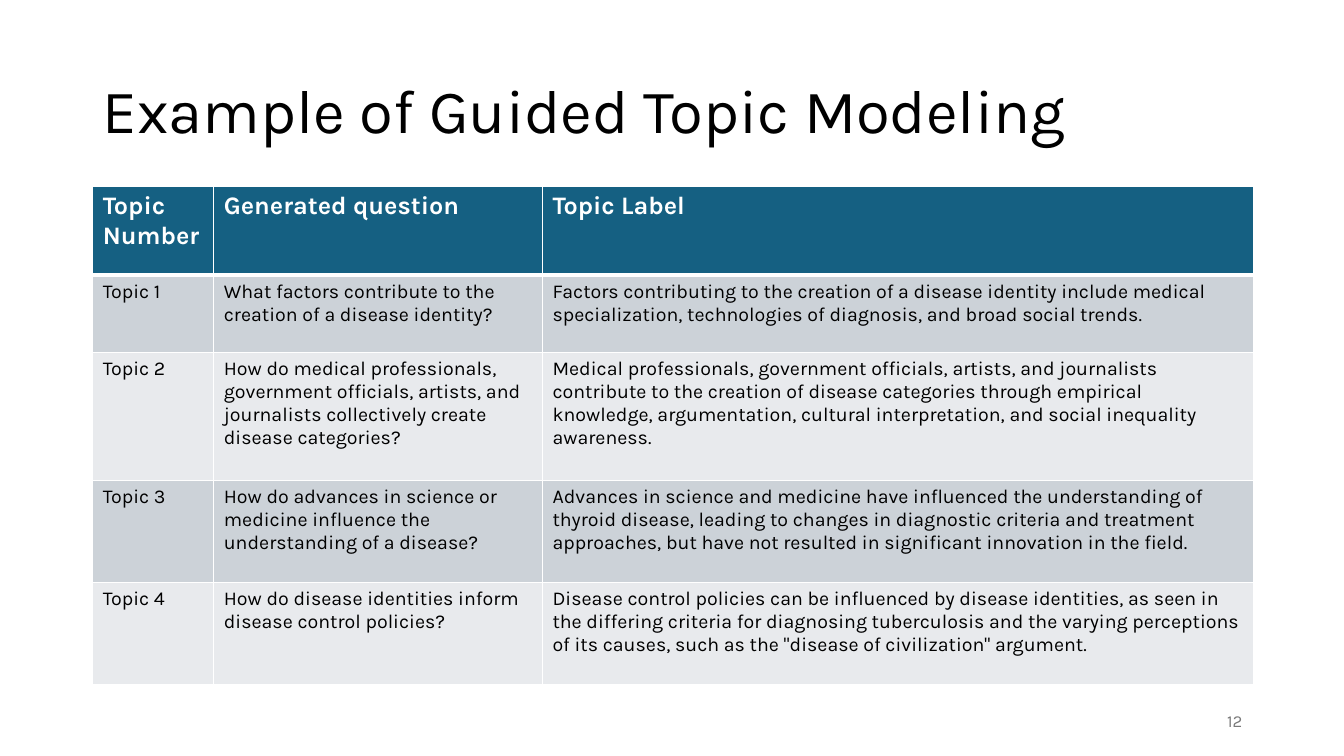
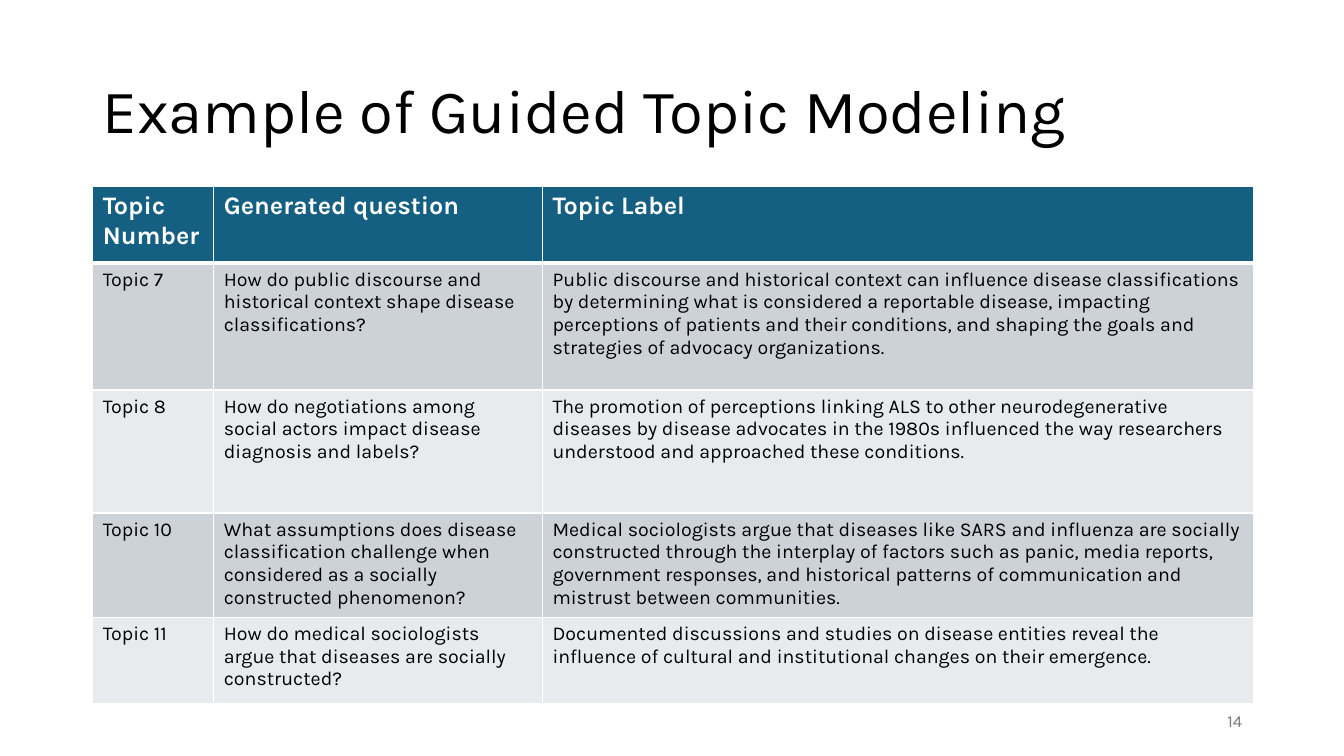
from lxml import etree
from pptx import Presentation, util as u
from pptx.dml.color import RGBColor
from pptx.enum import text as t
from pptx.oxml.ns import qn

# Shared look
FONT = "Karla"
WHITE, BLACK, GREY = "FFFFFF", "000000", "797979"
HEADER_FILL = "156082"
BAND_FILLS = ("CCD2D8", "E8EAED")

# Shared grid, in inches
SLIDE_W, SLIDE_H = 13.33, 7.5
MARGIN, CONTENT_W = 0.92, 11.5
TITLE_TOP, TITLE_H = 0.4, 1.45
TABLE_TOP = TITLE_TOP + TITLE_H
NUMBER_TOP, NUMBER_W, NUMBER_H = 6.95, 3, 0.4
COLUMNS = (1.2, 3.26, 7.05)

TITLE = "Example of Guided Topic Modeling"
HEADINGS = ("Topic Number", "Generated question", "Topic Label")

# Each slide: page number, row heights, topics
SLIDES = (
    ("12", (0.88, 0.77, 1.27, 1.01, 1.01), (
        ("Topic 1",
         "What factors contribute to the creation of a disease identity?",
         "Factors contributing to the creation of a disease identity include medical "
         "specialization, technologies of diagnosis, and broad social trends."),
        ("Topic 2",
         "How do medical professionals, government officials, artists, and journalists "
         "collectively create disease categories?",
         "Medical professionals, government officials, artists, and journalists contribute "
         "to the creation of disease categories through empirical knowledge, argumentation, "
         "cultural interpretation, and social inequality awareness."),
        ("Topic 3",
         "How do advances in science or medicine influence the understanding of a disease?",
         "Advances in science and medicine have influenced the understanding of thyroid "
         "disease, leading to changes in diagnostic criteria and treatment approaches, but "
         "have not resulted in significant innovation in the field."),
        ("Topic 4",
         "How do disease identities inform disease control policies?",
         "Disease control policies can be influenced by disease identities, as seen in the "
         "differing criteria for diagnosing tuberculosis and the varying perceptions of its "
         'causes, such as the "disease of civilization" argument.'),
    )),
    ("14", (0.76, 1.26, 1.22, 1, 0.86), (
        ("Topic 7",
         "How do public discourse and historical context shape disease classifications?",
         "Public discourse and historical context can influence disease classifications by "
         "determining what is considered a reportable disease, impacting perceptions of "
         "patients and their conditions, and shaping the goals and strategies of advocacy "
         "organizations."),
        ("Topic 8",
         "How do negotiations among social actors impact disease diagnosis and labels?",
         "The promotion of perceptions linking ALS to other neurodegenerative diseases by "
         "disease advocates in the 1980s influenced the way researchers understood and "
         "approached these conditions."),
        ("Topic 10",
         "What assumptions does disease classification challenge when considered as a "
         "socially constructed phenomenon?",
         "Medical sociologists argue that diseases like SARS and influenza are socially "
         "constructed through the interplay of factors such as panic, media reports, "
         "government responses, and historical patterns of communication and mistrust "
         "between communities."),
        ("Topic 11",
         "How do medical sociologists argue that diseases are socially constructed?",
         "Documented discussions and studies on disease entities reveal the influence of "
         "cultural and institutional changes on their emergence."),
    )),
)


def color(hex_code):
    return RGBColor.from_string(hex_code)


def box(*lengths):
    return [u.Inches(length) for length in lengths]


def write(frame, words, size=14, ink=BLACK, bold=False,
          align=t.PP_ALIGN.LEFT, spacing=None):
    """Fill a text frame with one formatted paragraph."""
    frame.word_wrap = True
    paragraph = frame.paragraphs[0]
    paragraph.alignment = align
    paragraph.line_spacing = spacing
    run = paragraph.add_run()
    run.text = words
    run.font.name = FONT
    run.font.size = u.Pt(size)
    run.font.bold = bold
    run.font.color.rgb = color(ink)


def add_title(slide):
    title = slide.shapes.title
    title.left, title.top, title.width, title.height = box(
        MARGIN, TITLE_TOP, CONTENT_W, TITLE_H)
    title.text_frame.auto_size = t.MSO_AUTO_SIZE.NONE
    title.text_frame.vertical_anchor = t.MSO_ANCHOR.MIDDLE
    write(title.text_frame, TITLE, size=44, spacing=0.9)


def add_page_number(slide, number):
    left = MARGIN + CONTENT_W - NUMBER_W
    page = slide.shapes.add_textbox(*box(left, NUMBER_TOP, NUMBER_W, NUMBER_H))
    page.text_frame.vertical_anchor = t.MSO_ANCHOR.MIDDLE
    write(page.text_frame, number, size=12, ink=GREY, align=t.PP_ALIGN.RIGHT)


def set_borders(cell, top=1, bottom=1):
    """White rules around a cell; widths in points."""
    properties = cell._tc.get_or_add_tcPr()
    for side, width in (("L", 1), ("R", 1), ("T", top), ("B", bottom)):
        line = etree.SubElement(properties, qn("a:ln" + side), w=str(u.Pt(width)))
        fill = etree.SubElement(line, qn("a:solidFill"))
        etree.SubElement(fill, qn("a:srgbClr"), val=WHITE)


def add_topic_table(slide, heights, topics):
    rows = (HEADINGS,) + topics
    table = slide.shapes.add_table(
        len(rows), len(COLUMNS),
        *box(MARGIN, TABLE_TOP, sum(COLUMNS), sum(heights))).table
    table.horz_banding = False
    for column, width in zip(table.columns, COLUMNS):
        column.width = u.Inches(width)
    for r, (height, words) in enumerate(zip(heights, rows)):
        table.rows[r].height = u.Inches(height)
        header = r == 0
        for c, entry in enumerate(words):
            cell = table.cell(r, c)
            # A thicker rule parts the header from the topics
            set_borders(cell, top=3 if r == 1 else 1, bottom=3 if header else 1)
            cell.fill.solid()
            cell.fill.fore_color.rgb = color(
                HEADER_FILL if header else BAND_FILLS[(r - 1) % 2])
            if header:
                write(cell.text_frame, entry, size=18, ink=WHITE, bold=True)
            else:
                write(cell.text_frame, entry)


def main():
    deck = Presentation()
    deck.slide_width, deck.slide_height = box(SLIDE_W, SLIDE_H)
    title_only = deck.slide_layouts[5]
    for number, heights, topics in SLIDES:
        slide = deck.slides.add_slide(title_only)
        add_title(slide)
        add_page_number(slide, number)
        add_topic_table(slide, heights, topics)
    deck.save("out.pptx")


if __name__ == "__main__":
    main()
